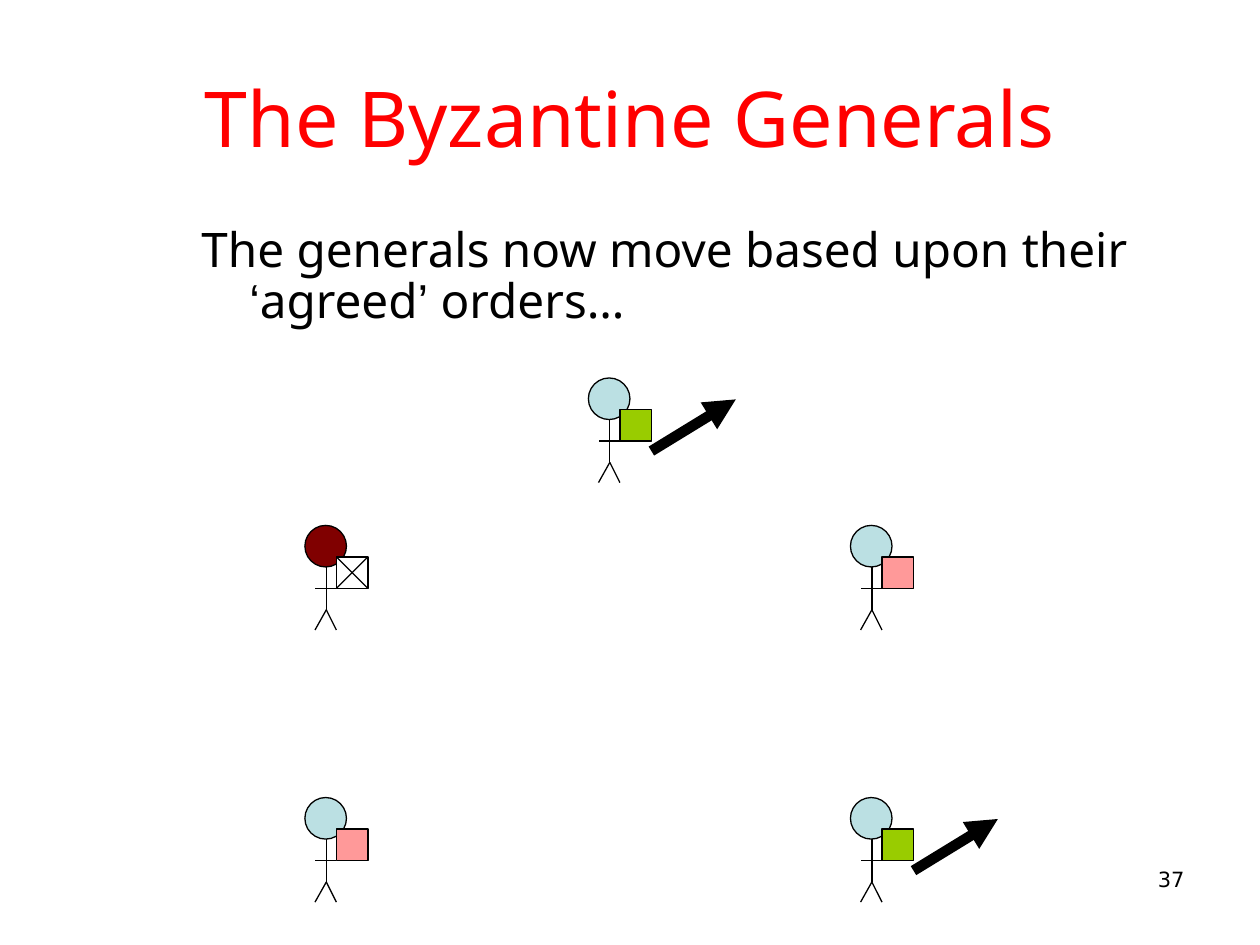
from lxml import etree
from pptx import Presentation
from pptx import util as u
from pptx.dml.color import RGBColor
from pptx.enum import shapes, text
from pptx.oxml import ns

COLORS = {
    "ink": "000000",
    "title": "FF0000",
    "loyal": "BBE0E3",
    "traitor": "800000",
    "attack": "99CC00",
    "retreat": "FF9999",
    "unknown": "FFFFFF",
}

GENERALS = [
    (2.42, 4.17, "traitor", "unknown"),
    (2.42, 6.33, "loyal", "retreat"),
    (4.67, 3.0, "loyal", "attack"),
    (6.75, 4.17, "loyal", "retreat"),
    (6.75, 6.33, "loyal", "attack"),
]

LIMBS = [
    (0.17, 0.33, 0.17, 0.67),
    (0.25, 0.5, 0.08, 0.5),
    (0.17, 0.67, 0.08, 0.83),
    (0.17, 0.67, 0.25, 0.83),
]
HEAD = 0.33
ORDER = 0.25


def color(name):
    return RGBColor.from_string(COLORS[name])


def apply(target, values):
    for name, value in values.items():
        setattr(target, name, value)


def add_text(slide, box, runs, size, ink="ink", frame_format=None, paragraph_format=None):
    frame = slide.shapes.add_textbox(*map(u.Inches, box)).text_frame
    apply(frame, {"word_wrap": True, **(frame_format or {})})
    paragraph = frame.paragraphs[0]
    apply(paragraph, paragraph_format or {})
    for words, font in runs:
        run = paragraph.add_run()
        run.text = words
        apply(run.font, {"name": font, "size": u.Pt(size)})
        run.font.color.rgb = color(ink)
    return paragraph


def add_outlined(slide, kind, left, top, side, fill):
    outlined = slide.shapes.add_shape(kind, *map(u.Inches, (left, top, side, side)))
    outlined.shadow.inherit = False
    outlined.fill.solid()
    outlined.fill.fore_color.rgb = color(fill)
    outlined.line.color.rgb = color("ink")
    outlined.line.width = u.Pt(0.75)


def add_line(slide, x1, y1, x2, y2, width=0.75, arrow=False):
    stroke = slide.shapes.add_connector(
        shapes.MSO_CONNECTOR.STRAIGHT, *map(u.Inches, (x1, y1, x2, y2))
    )
    stroke.line.color.rgb = color("ink")
    stroke.line.width = u.Pt(width)
    if arrow:
        etree.SubElement(stroke.line._get_or_add_ln(), ns.qn("a:tailEnd"), type="triangle")
    etree.SubElement(stroke._element.spPr, ns.qn("a:effectLst"))


def add_general(slide, left, top, loyalty):
    add_outlined(slide, shapes.MSO_SHAPE.OVAL, left, top, HEAD, loyalty)
    for x1, y1, x2, y2 in LIMBS:
        add_line(slide, left + x1, top + y1, left + x2, top + y2)


def add_order(slide, left, top, order):
    x, y = left + 0.25, top + 0.25
    right, bottom = x + ORDER, y + ORDER
    add_outlined(slide, shapes.MSO_SHAPE.RECTANGLE, x, y, ORDER, order)
    if order == "unknown":
        add_line(slide, x, y, right, bottom)
        add_line(slide, x, bottom, right, y)
    elif order == "attack":
        add_line(slide, right, top + 0.58, right + 0.67, top + 0.17, 6, True)


def main():
    deck = Presentation()
    deck.slide_width, deck.slide_height = u.Inches(10), u.Inches(7.5)
    slide = deck.slides.add_slide(deck.slide_layouts[6])

    add_text(slide, (7.17, 6.83, 2.33, 0.52), [("37", "DejaVu Sans")], 12,
             paragraph_format={"alignment": text.PP_ALIGN.RIGHT})
    add_text(slide, (0.5, 0.3, 9, 1.25), [("The Byzantine Generals", "Noto Sans")], 44,
             ink="title",
             frame_format={"vertical_anchor": text.MSO_ANCHOR.MIDDLE},
             paragraph_format={"alignment": text.PP_ALIGN.CENTER})

    for left, top, loyalty, _ in GENERALS:
        add_general(slide, left, top, loyalty)

    statement = add_text(
        slide, (1.5, 1.75, 7.92, 1.08),
        [("The generals now move based upon their ", "Noto Sans"), ("‘", "Arial"),
         ("agreed", "Noto Sans"), ("’", "Arial"), (" orders…", "Noto Sans")],
        27.2, paragraph_format={"line_spacing": 0.89})
    indents = {"marL": u.Inches(0.38), "indent": u.Inches(-0.38)}
    for name, length in indents.items():
        statement._p.get_or_add_pPr().set(name, str(length))

    for left, top, _, order in GENERALS:
        add_order(slide, left, top, order)

    deck.save("out.pptx")


if __name__ == "__main__":
    main()
